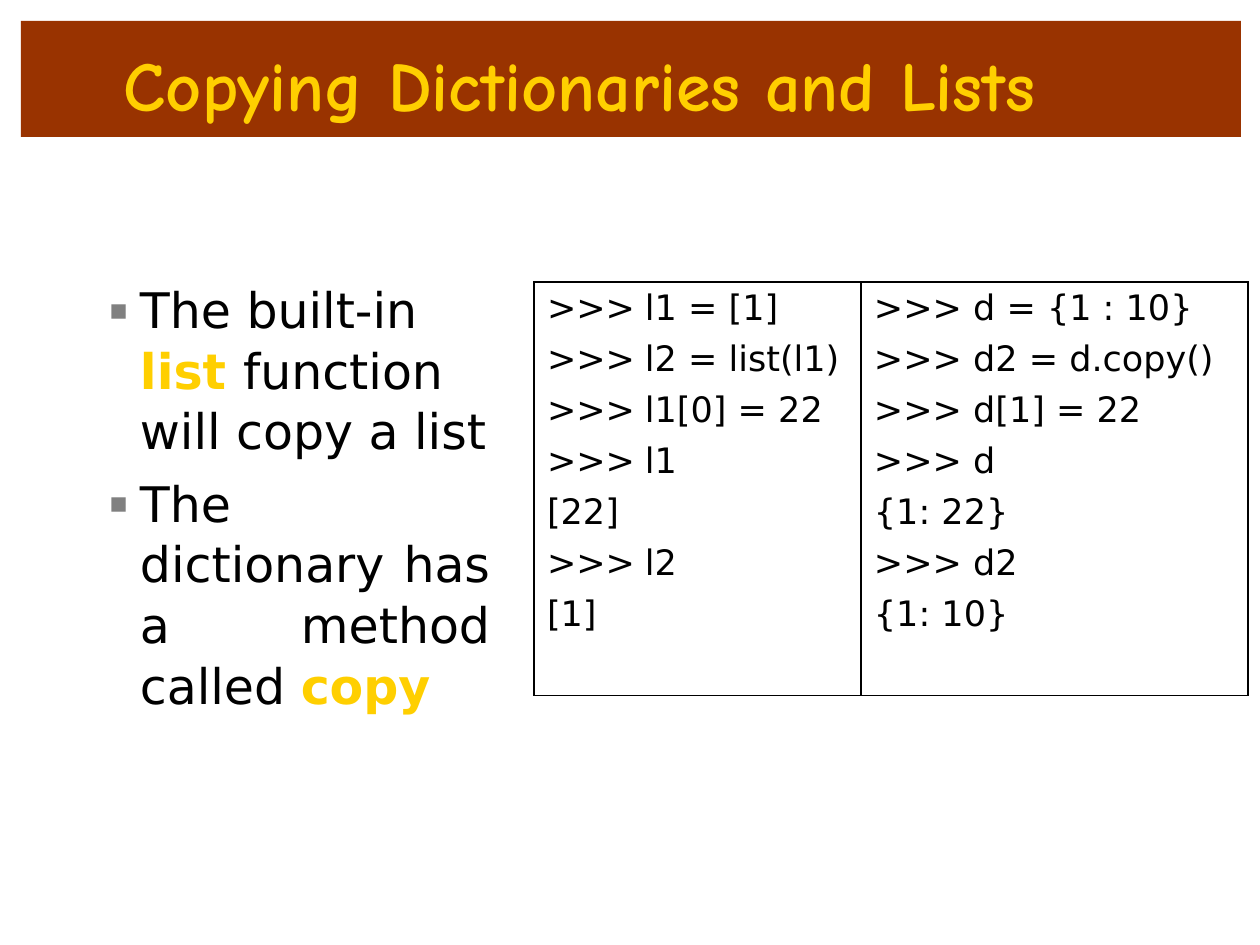
import lxml.etree
import pptx
import pptx.dml.color
import pptx.enum.text
import pptx.oxml.ns
import pptx.util

PX = 914400 / 126
COLORS = {
    "banner": "993300",
    "highlight": "FFCF00",
    "text": "000000",
    "bullet": "808080",
    "border": "000000",
}
ALIGN = pptx.enum.text.PP_ALIGN


def px(length):
    return pptx.util.Emu(round(length * PX))


def rgb(name):
    return pptx.dml.color.RGBColor.from_string(COLORS[name])


def add_xml(parent, tag, **attributes):
    child = lxml.etree.SubElement(parent, pptx.oxml.ns.qn(tag))
    for name, value in attributes.items():
        child.set(name, str(value))
    return child


def add_run(paragraph, text, size=20, color="text", font="DejaVu Sans", bold=False):
    run = paragraph.add_run()
    run.text = text
    run.font.size = pptx.util.Pt(size)
    run.font.name = font
    run.font.bold = bold
    run.font.color.rgb = rgb(color)


def set_indent(paragraph, left, first=0):
    properties = paragraph._p.get_or_add_pPr()
    properties.set("marL", str(px(left)))
    properties.set("indent", str(px(first)))
    return properties


def set_bullet(paragraph):
    properties = set_indent(paragraph, 34, -31)
    color = add_xml(properties, "a:buClr")
    add_xml(color, "a:srgbClr", val=COLORS["bullet"])
    add_xml(properties, "a:buSzPct", val=59000)
    add_xml(properties, "a:buFont", typeface="DejaVu Sans")
    add_xml(properties, "a:buChar", char="▪")


def set_borders(cell, widths):
    """Draw left, right, top and bottom borders; a width of 0 draws none."""
    properties = cell._tc.get_or_add_tcPr()
    for index, (side, width) in enumerate(zip("LRTB", widths)):
        line = add_xml(properties, f"a:ln{side}", w=pptx.util.Pt(width))
        if width:
            fill = add_xml(line, "a:solidFill")
            add_xml(fill, "a:srgbClr", val=COLORS["border"])
        else:
            add_xml(line, "a:noFill")
        properties.insert(index, line)


class SlideBuilder:
    def __init__(self, slide):
        self.slide = slide

    def place(self, shape, box, top_margin):
        shape.left, shape.top, shape.width, shape.height = map(px, box)
        frame = shape.text_frame
        frame.margin_left = frame.margin_right = frame.margin_bottom = 0
        frame.margin_top = px(top_margin)
        frame.word_wrap = True
        frame.auto_size = pptx.enum.text.MSO_AUTO_SIZE.NONE
        frame.vertical_anchor = pptx.enum.text.MSO_ANCHOR.TOP
        return frame

    def title(self, text, box):
        shape = self.slide.shapes.title
        shape.fill.solid()
        shape.fill.fore_color.rgb = rgb("banner")
        paragraph = self.place(shape, box, 21).paragraphs[0]
        paragraph.alignment = ALIGN.LEFT
        paragraph.space_before = pptx.util.Pt(12.3)
        set_indent(paragraph, 103)
        add_run(paragraph, text, size=40, color="highlight", font="Comic Neue", bold=True)

    def bullets(self, items, box):
        """Each item is (alignment, space before, [(text, highlighted), ...])."""
        frame = self.place(self.slide.placeholders[1], box, 1)
        for index, (alignment, before, parts) in enumerate(items):
            paragraph = frame.add_paragraph() if index else frame.paragraphs[0]
            paragraph.alignment = alignment
            paragraph.line_spacing = 1.03
            paragraph.space_before = pptx.util.Pt(before)
            set_bullet(paragraph)
            for text, highlighted in parts:
                color = "highlight" if highlighted else "text"
                add_run(paragraph, text, size=28, color=color, bold=highlighted)

    def code_table(self, rows, left, top, widths, heights):
        shape = self.slide.shapes.add_table(
            len(rows), len(widths), px(left), px(top), px(sum(widths)), px(sum(heights)))
        table = shape.table
        table.first_row = table.horz_banding = False
        for column, width in zip(table.columns, widths):
            column.width = px(width)
        last = len(rows) - 1
        for row_index, (row, height) in enumerate(zip(rows, heights)):
            table.rows[row_index].height = px(height)
            top_width = 0 if row_index else 0.75
            bottom_width = 0.75 if row_index == last else 0
            sides = [(0.75, 0), (0, 1.5), (1.5, 0.75)]
            for column_index, (text, side) in enumerate(zip(row, sides)):
                cell = table.cell(row_index, column_index)
                cell.margin_left = cell.margin_right = cell.margin_bottom = 0
                cell.margin_top = px(4 if row_index else 6)
                cell.fill.background()
                set_borders(cell, (*side, top_width, bottom_width))
                if text:
                    paragraph = cell.text_frame.paragraphs[0]
                    paragraph.space_before = pptx.util.Pt(2.5 if row_index else 3.5)
                    set_indent(paragraph, 6 if column_index == 1 else 13)
                    add_run(paragraph, text)


def main():
    presentation = pptx.Presentation()
    presentation.slide_width = px(1260)
    presentation.slide_height = px(945)
    builder = SlideBuilder(presentation.slides.add_slide(presentation.slide_layouts[1]))

    builder.title("Copying Dictionaries and Lists", (21, 21, 1220, 116))
    builder.bullets([
        (ALIGN.LEFT, 0.9,
         [("The built-in ", False), ("list ", True), ("function will copy a list", False)]),
        (ALIGN.JUSTIFY, 6.8,
         [("The dictionary has a method called ", False), ("copy", True)]),
    ], (106, 277, 384, 368))
    builder.code_table([
        (">>>", "l1 = [1]", ">>> d = {1 : 10}"),
        (">>>", "l2 = list(l1)", ">>> d2 = d.copy()"),
        (">>>", "l1[0] = 22", ">>> d[1] = 22"),
        (">>>", "l1", ">>> d"),
        ("[22]", "", "{1: 22}"),
        (">>>", "l2", ">>> d2"),
        ("[1]", "", "{1: 10}"),
    ], 534, 282, widths=[105, 222, 387], heights=[53] + [51] * 5 + [106])
    presentation.save("out.pptx")


if __name__ == "__main__":
    main()
